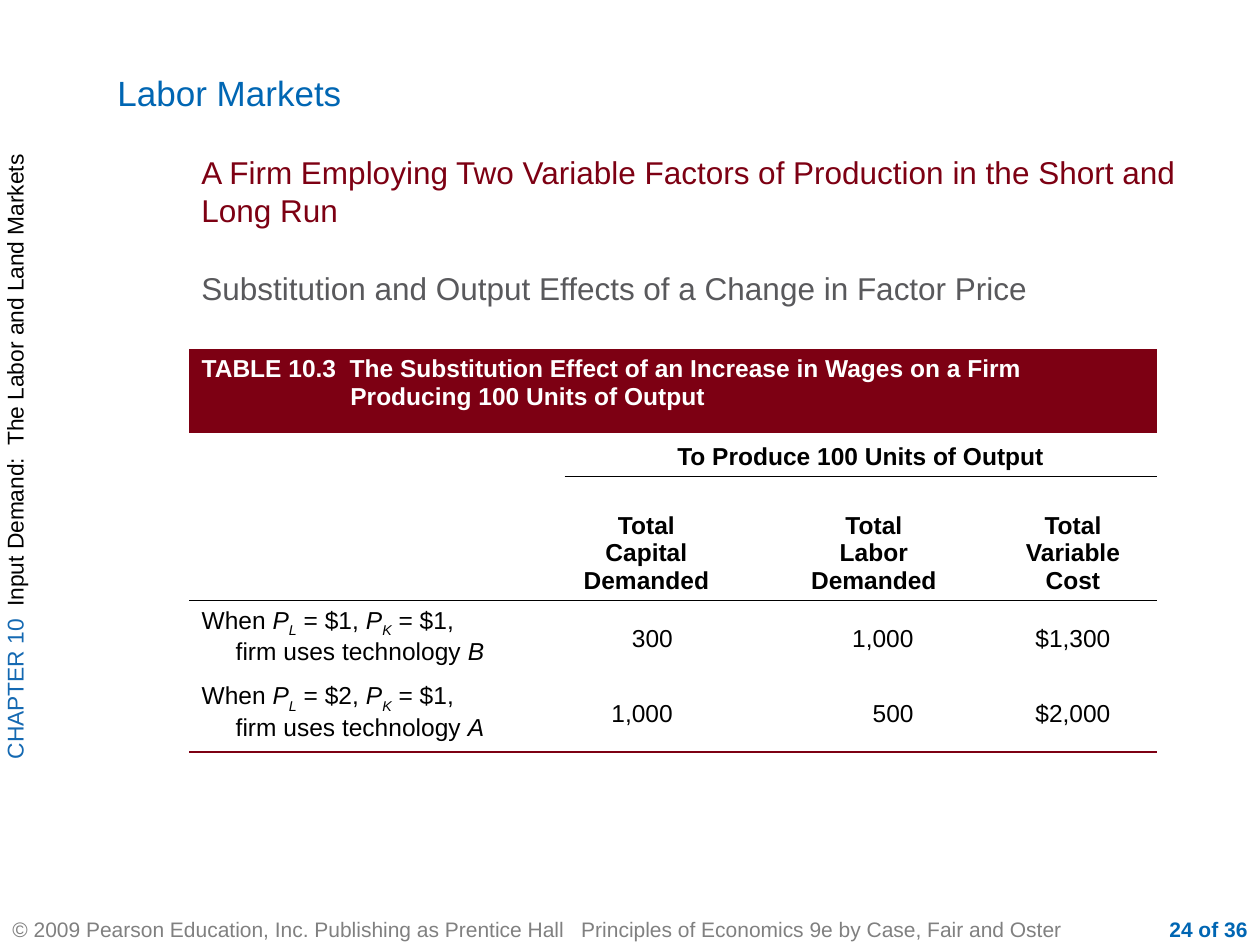
"""Build the labor markets slide with its wage substitution table."""
from lxml import etree
from pptx import Presentation, util as u
from pptx.dml import color
from pptx.enum import text
from pptx.oxml import ns

Pt = u.Pt
LEFT, CENTER, RIGHT = text.PP_ALIGN.LEFT, text.PP_ALIGN.CENTER, text.PP_ALIGN.RIGHT
TOP, MIDDLE, BOTTOM = text.MSO_ANCHOR.TOP, text.MSO_ANCHOR.MIDDLE, text.MSO_ANCHOR.BOTTOM
BLUE, MAROON, BLACK = "0066B3", "7D0013", "000000"


def rgb(value):
    return color.RGBColor.from_string(value)


def write(frame, spans, size, align=LEFT, hang=0):
    para = frame.paragraphs[0]
    para.alignment = align
    if hang:
        margins = para._p.get_or_add_pPr()
        margins.set("marL", str(Pt(hang)))
        margins.set("indent", str(-Pt(hang)))
    for words, hue, styles in spans:
        for index, line in enumerate(words.split("\n")):
            if index:
                para.add_line_break()
            span = para.add_run()
            span.text = line
            span.font.color.rgb = rgb(hue)
            for name, value in {"name": "Arial", "size": Pt(size), **styles}.items():
                setattr(span.font, name, value)
            if words in "LK":
                span._r.get_or_add_rPr().set("baseline", "-25000")


deck = Presentation()
deck.slide_width, deck.slide_height = Pt(720), Pt(540)
page = deck.slides.add_slide(deck.slide_layouts[6])

boxes = [
    ((0, 522, 660, 18), MIDDLE, LEFT, 12, "808080", {},
     "© 2009 Pearson Education, Inc. Publishing as Prentice Hall\u00a0\u00a0 "
     "Principles of Economics 9e by Case, Fair and Oster"),
    ((648, 522, 72, 18), MIDDLE, RIGHT, 12, BLUE, {"bold": True}, "24 of 36"),
    ((60, 0, 660, 68.4), BOTTOM, LEFT, 20, BLUE, {}, "Labor Markets"),
    ((108, 84, 582, 48), TOP, LEFT, 18, MAROON, {},
     "A Firm Employing Two Variable Factors of Production in the Short and Long Run"),
    ((108, 150, 582, 30), TOP, LEFT, 18, "59595C", {},
     "Substitution and Output Effects of a Change in Factor Price"),
]
for place, anchor, align, size, hue, styles, words in boxes:
    box = page.shapes.add_textbox(*map(Pt, place))
    box.text_frame.word_wrap = True
    box.text_frame.vertical_anchor = anchor
    write(box.text_frame, [(words, hue, styles)], size, align)

sidebar = page.shapes.add_textbox(Pt(0.5), Pt(6), Pt(29), Pt(510)).text_frame
for name, value in {"word_wrap": True, "margin_left": 0, "margin_right": 0}.items():
    setattr(sidebar, name, value)
sidebar._txBody.bodyPr.set("vert", "vert270")
write(sidebar, [("CHAPTER 10  ", "1469B2", {}),
                ("Input Demand:  The Labor and Land Markets", BLACK, {})], 13, CENTER)

widths = [197.3, 17.3, 69.1, 41.8, 14.4, 81.4, 36, 95.8]
heights = [48, 25, 70.8, 43.2, 43.2]
frame = page.shapes.add_table(5, 8, Pt(108), Pt(199.5), Pt(sum(widths)), Pt(sum(heights)))
table = frame.table
table.first_row = table.horz_banding = False
table._tbl.tblPr.find(ns.qn("a:tableStyleId")).text = "{2D5ABB26-0587-4C30-8999-92F81FD0307C}"
for column, width in zip(table.columns, widths):
    column.width = Pt(width)
for row, height in zip(table.rows, heights):
    row.height = Pt(height)

bold = {"bold": True}
entries = {
    (0, 0): ([("TABLE 10.3  The Substitution Effect of an Increase in Wages on a Firm "
               "Producing 100 Units of Output", "FFFFFF", bold)], TOP, LEFT, 85),
    (1, 2): ([("To Produce 100 Units of Output", BLACK, bold)], BOTTOM, CENTER, 0),
}
for col, heading in [(1, "Total\nCapital\nDemanded"), (4, "Total\nLabor\nDemanded"),
                     (7, "Total\nVariable\nCost")]:
    entries[2, col] = ([(heading, BLACK, bold)], BOTTOM, CENTER, 0)
cases = [("$1", "B", "300", "1,000", "$1,300"), ("$2", "A", "1,000", "500", "$2,000")]
for row, (wage, technology, capital, labor, cost) in enumerate(cases, 3):
    parts = ["When ", "P", "L", f" = {wage}, ", "P", "K",
             " = $1,\nfirm uses technology ", technology]
    spans = [(part, BLACK, {"italic": len(part) == 1}) for part in parts]
    entries[row, 0] = (spans, TOP, LEFT, 19.5)
    for col, amount, align in [(1, capital, RIGHT), (5, labor, RIGHT), (7, cost, CENTER)]:
        entries[row, col] = ([(amount, BLACK, {})], MIDDLE, align, 0)

merges = [(0, 0, 7), (1, 0, 1), (1, 2, 7), (2, 1, 3), (2, 4, 6)]
merges += [(row, col, col + 1) for row in (3, 4) for col in (1, 3)]
for row, first, last in merges:
    table.cell(row, first).merge(table.cell(row, last))

rules = {1: (2, BLACK, 0.45), 2: (0, BLACK, 0.45), 4: (0, MAROON, 1.08)}
for row in range(5):
    for col in range(8):
        cell = table.cell(row, col)
        if row == 0:
            cell.fill.solid()
            cell.fill.fore_color.rgb = rgb(MAROON)
        else:
            cell.fill.background()
        if (row, col) in entries:
            spans, anchor, align, hang = entries[row, col]
            cell.vertical_anchor = anchor
            write(cell.text_frame, spans, 14, align, hang)
        else:
            cell.margin_top = cell.margin_bottom = 0
        start, hue, weight = rules.get(row, (8, BLACK, 0))
        if col >= start:
            edge = etree.Element(ns.qn("a:lnB"), w=str(Pt(weight)))
            fill = etree.SubElement(edge, ns.qn("a:solidFill"))
            etree.SubElement(fill, ns.qn("a:srgbClr"), val=hue)
            cell._tc.get_or_add_tcPr().insert(0, edge)

deck.save("out.pptx")
